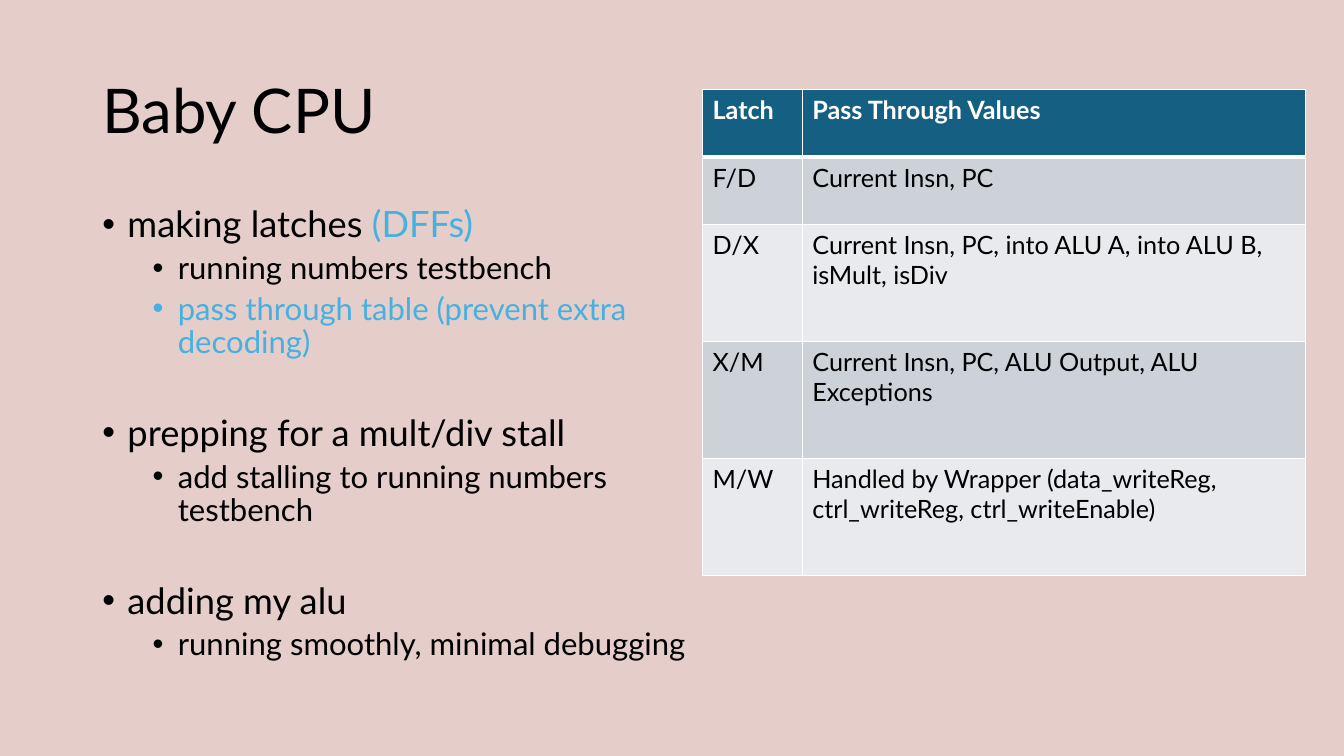
from dataclasses import dataclass

from lxml import etree
from pptx import Presentation
from pptx.dml.color import RGBColor
from pptx.enum.text import MSO_ANCHOR
from pptx.oxml.ns import qn
from pptx.util import Pt

MIDDLE, TOP = MSO_ANCHOR.MIDDLE, MSO_ANCHOR.TOP


@dataclass(frozen=True)
class Theme:
    font: str = "Lato"
    background: str = "E5CDC9"
    ink: str = "000000"
    accent: str = "46B1E1"
    header: str = "156082"
    bands: tuple = ("CCD2D8", "E8EAED")
    white: str = "FFFFFF"
    title_size: float = 44
    topic_size: float = 25.9
    detail_size: float = 22.2
    table_size: float = 18


THEME = Theme()
LINE_SPACING = 0.9
HANGING = 18

TITLE_BOX = (66, 28.8, 828, 104.4)
OUTLINE_BOX = (66, 144, 449.3, 342.7)
LATCH_TABLE_BOX = (501.8, 64.1, 430.6, 347)

# Each topic holds its runs and its details, as (text, colour)
TOPICS = [
    ([("making latches ", THEME.ink), ("(DFFs)", THEME.accent)],
     [("running numbers testbench", THEME.ink),
      ("pass through table (prevent extra decoding)", THEME.accent)]),
    ([("prepping for a mult/div stall", THEME.ink)],
     [("add stalling to running numbers testbench", THEME.ink)]),
    ([("adding my alu", THEME.ink)],
     [("running smoothly, minimal debugging", THEME.ink)]),
]

LATCHES = [
    ("Latch", "Pass Through Values"),
    ("F/D", "Current Insn, PC"),
    ("D/X", "Current Insn, PC, into ALU A, into ALU B, isMult, isDiv"),
    ("X/M", "Current Insn, PC, ALU Output, ALU Exceptions"),
    ("M/W", "Handled by Wrapper (data_writeReg, ctrl_writeReg, ctrl_writeEnable)"),
]
LATCH_COLUMN = 71.3
SHORT_ROW = 48.2
SHORT_ROWS = 2


def add_run(paragraph, text, size, color, bold=False):
    run = paragraph.add_run()
    run.text = text
    font_format = {"name": THEME.font, "size": Pt(size), "bold": bold}
    for attribute, value in font_format.items():
        setattr(run.font, attribute, value)
    run.font.color.rgb = RGBColor.from_string(color)


def add_frame(slide, box, anchor):
    frame = slide.shapes.add_textbox(*map(Pt, box)).text_frame
    frame.word_wrap = True
    frame.vertical_anchor = anchor
    return frame


def add_title(slide, box):
    heading = add_frame(slide, box, MIDDLE).paragraphs[0]
    heading.line_spacing = LINE_SPACING
    add_run(heading, "Baby CPU", THEME.title_size, THEME.ink)


def add_bullet(paragraph, level, runs, size, space_before):
    paragraph_format = {"level": level, "line_spacing": LINE_SPACING,
                        "space_before": Pt(space_before)}
    for attribute, value in paragraph_format.items():
        setattr(paragraph, attribute, value)
    properties = paragraph._p.get_or_add_pPr()
    properties.set("marL", str(Pt(HANGING + 36 * level)))
    properties.set("indent", str(Pt(-HANGING)))
    etree.SubElement(properties, qn("a:buFont"), typeface="Arial")
    etree.SubElement(properties, qn("a:buChar"), char="•")
    for text, color in runs:
        add_run(paragraph, text, size, color)


def add_outline(slide, box):
    frame = add_frame(slide, box, TOP)
    for index, (topic, details) in enumerate(TOPICS):
        paragraph = frame.add_paragraph() if index else frame.paragraphs[0]
        add_bullet(paragraph, 0, topic, THEME.topic_size, 39 if index else 10)
        for detail in details:
            add_bullet(frame.add_paragraph(), 1, [detail], THEME.detail_size, 5)


def set_borders(cell, widths):
    """Draw white borders; widths maps a side (L, R, T, B) to points."""
    properties = cell._tc.get_or_add_tcPr()
    for position, (side, width) in enumerate(widths.items()):
        border = etree.Element(qn(f"a:ln{side}"), w=str(Pt(width)))
        fill = etree.SubElement(border, qn("a:solidFill"))
        etree.SubElement(fill, qn("a:srgbClr"), val=THEME.white)
        properties.insert(position, border)


def add_latch_table(slide, box):
    left, top, width, height = box
    table = slide.shapes.add_table(len(LATCHES), len(LATCHES[0]),
                                   *map(Pt, box)).table
    for column, column_width in zip(table.columns,
                                    (LATCH_COLUMN, width - LATCH_COLUMN)):
        column.width = Pt(column_width)
    tall_row = (height - SHORT_ROWS * SHORT_ROW) / (len(LATCHES) - SHORT_ROWS)
    for r, values in enumerate(LATCHES):
        is_header = r == 0
        table.rows[r].height = Pt(SHORT_ROW if r < SHORT_ROWS else tall_row)
        fill = THEME.header if is_header else THEME.bands[(r - 1) % 2]
        color = THEME.white if is_header else THEME.ink
        borders = {"L": 1, "R": 1, "T": 3 if r == 1 else 1,
                   "B": 3 if is_header else 1}
        for c, value in enumerate(values):
            cell = table.cell(r, c)
            cell.fill.solid()
            cell.fill.fore_color.rgb = RGBColor.from_string(fill)
            set_borders(cell, borders)
            add_run(cell.text_frame.paragraphs[0], value,
                    THEME.table_size, color, bold=is_header)


def main():
    deck = Presentation()
    deck.slide_width, deck.slide_height = Pt(960), Pt(540)
    slide = deck.slides.add_slide(deck.slide_layouts[6])
    slide.background.fill.solid()
    slide.background.fill.fore_color.rgb = RGBColor.from_string(THEME.background)
    add_title(slide, TITLE_BOX)
    add_outline(slide, OUTLINE_BOX)
    add_latch_table(slide, LATCH_TABLE_BOX)
    deck.save("out.pptx")


if __name__ == "__main__":
    main()
